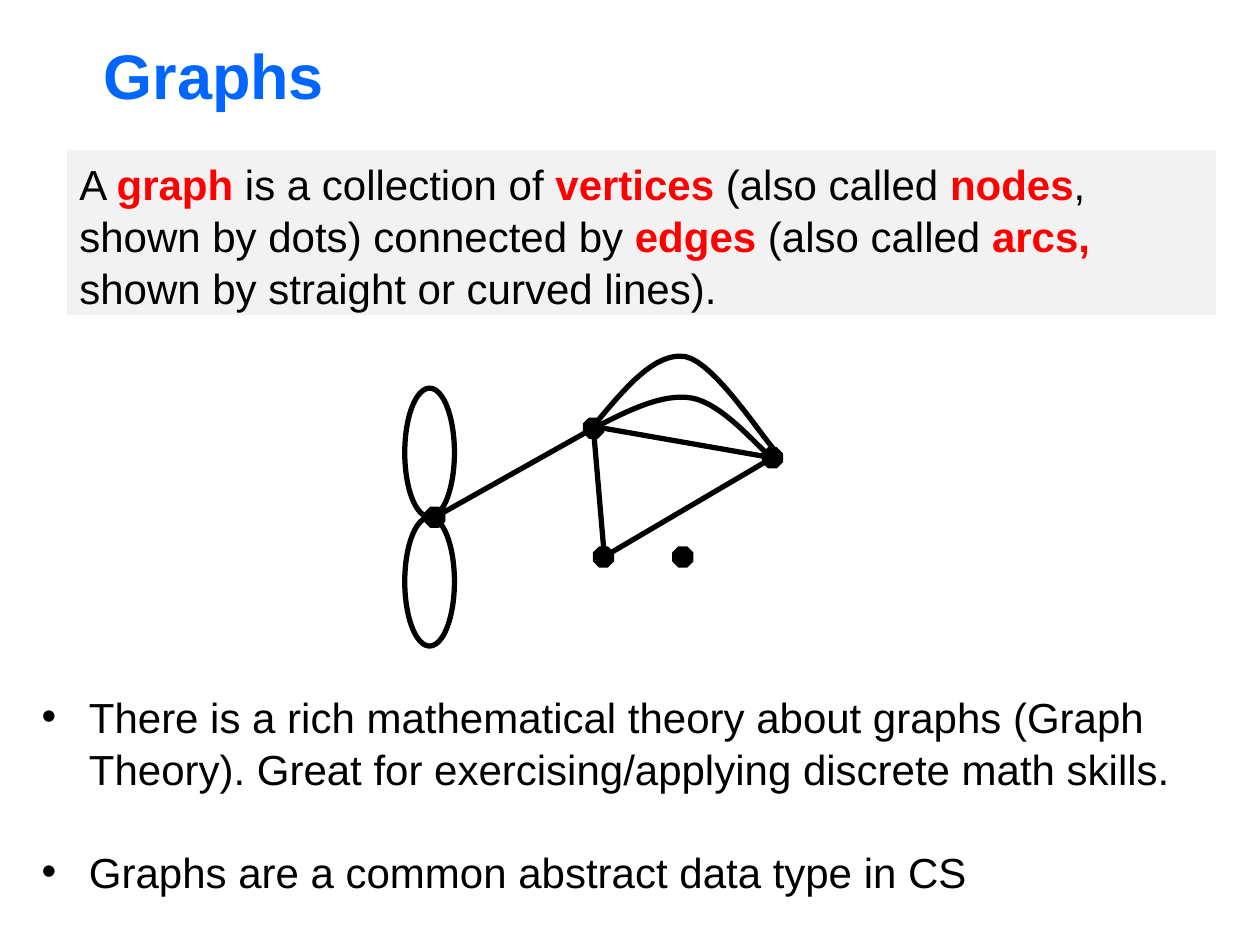
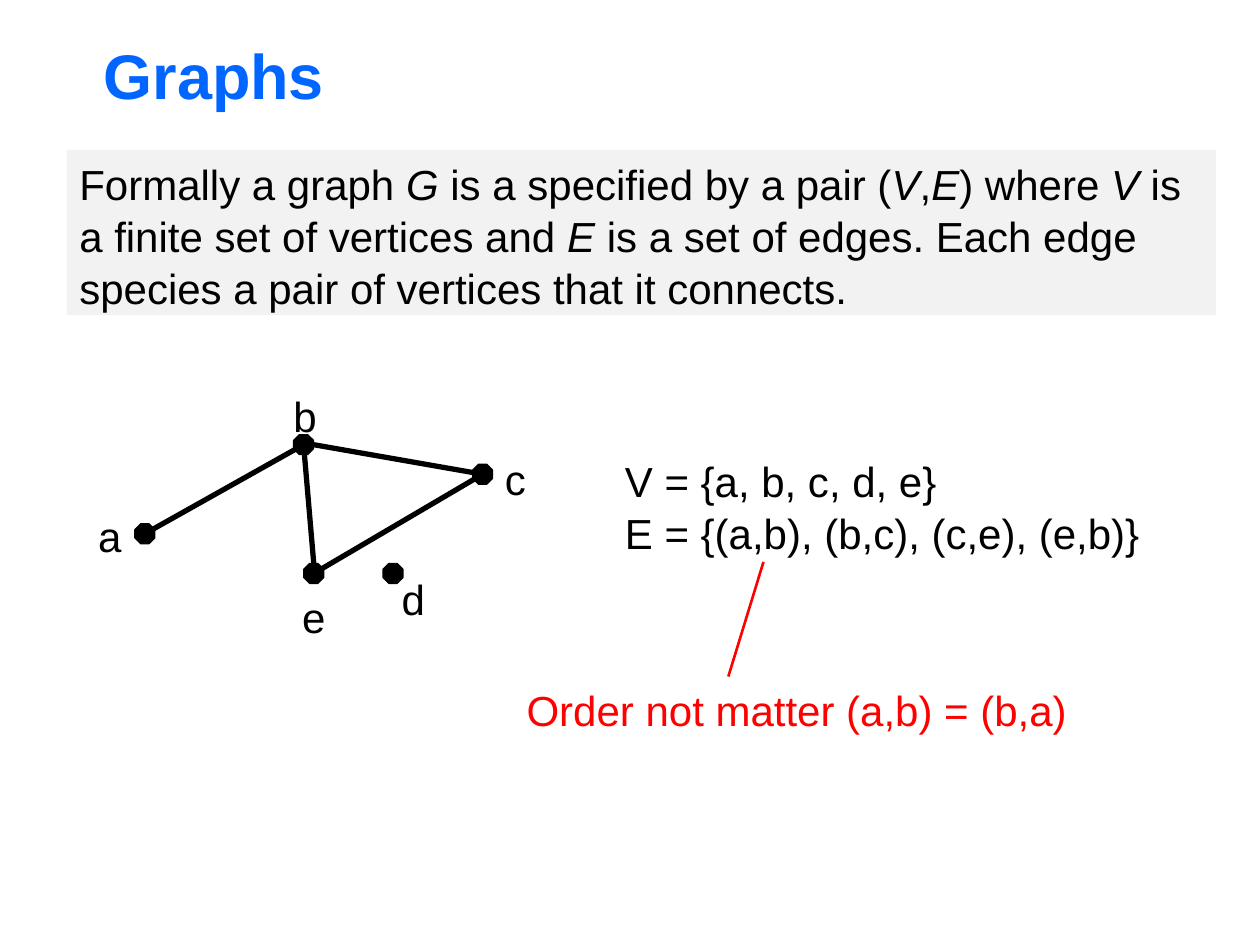
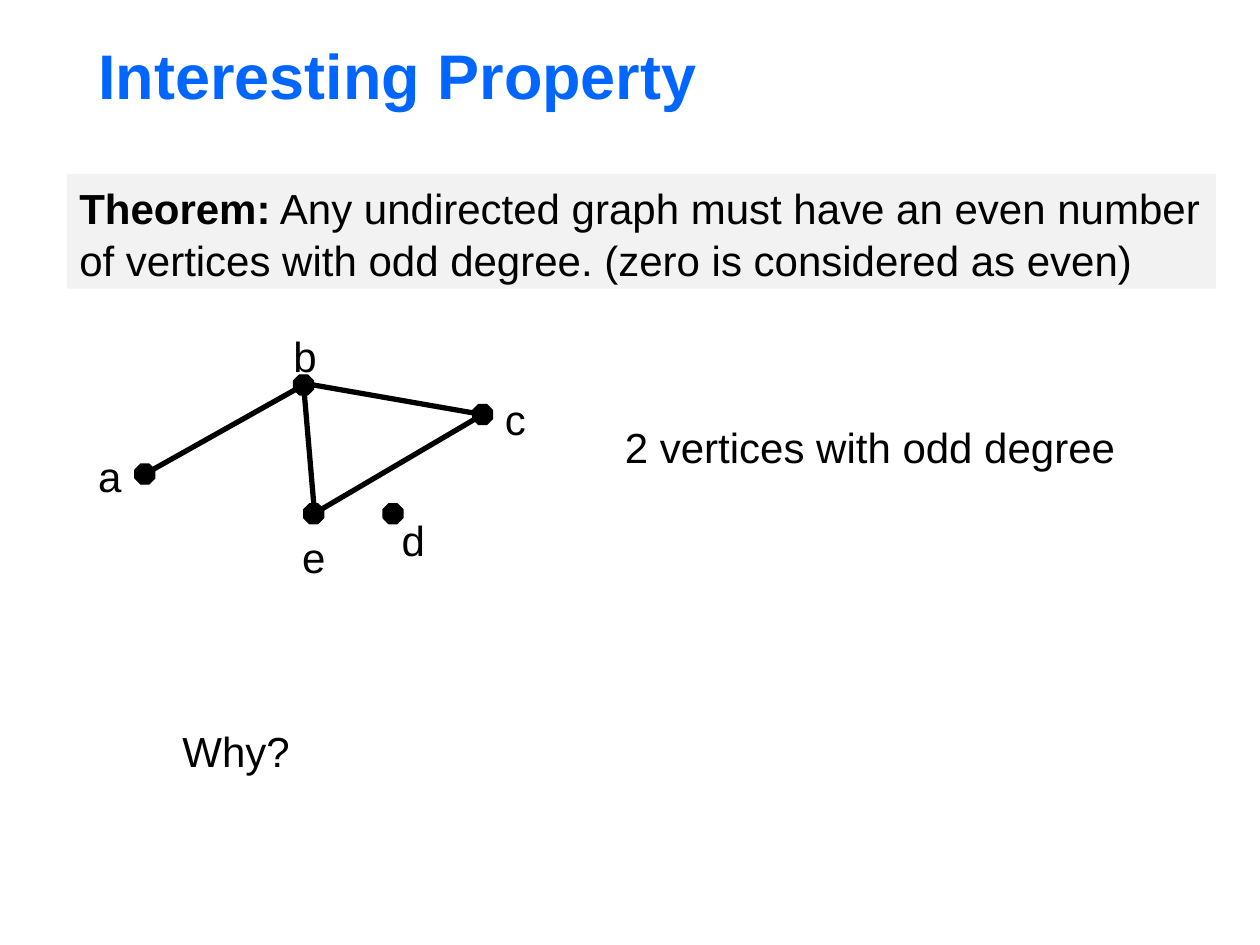
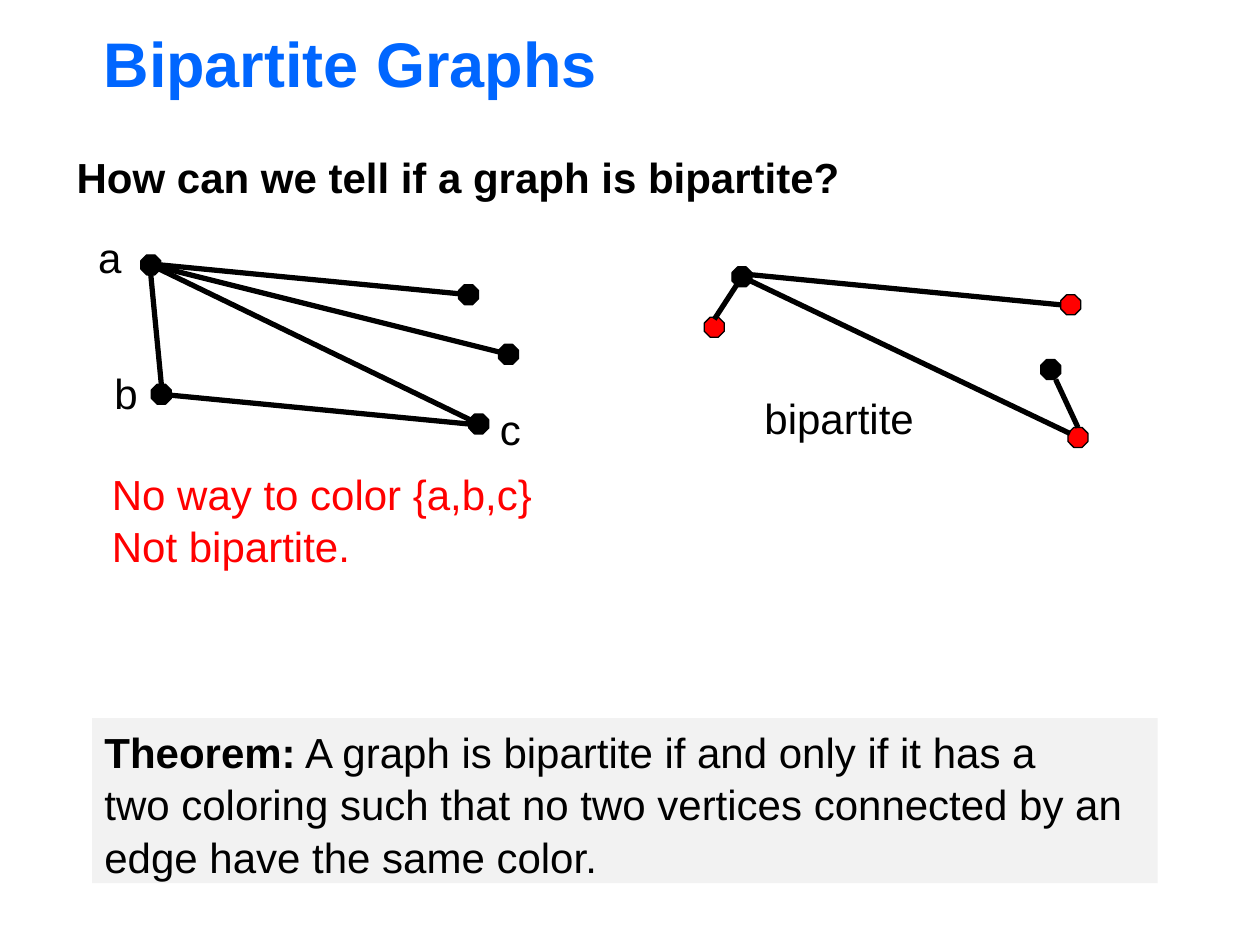
from lxml import etree
from pptx import Presentation
from pptx.dml.color import RGBColor
from pptx.enum.shapes import MSO_CONNECTOR, MSO_SHAPE
from pptx.enum.text import MSO_ANCHOR, MSO_AUTO_SIZE, PP_ALIGN
from pptx.oxml.ns import qn
from pptx.util import Pt

RECTANGLE, OCTAGON, OVAL = MSO_SHAPE.RECTANGLE, MSO_SHAPE.OCTAGON, MSO_SHAPE.OVAL
STRAIGHT = MSO_CONNECTOR.STRAIGHT
LEFT = PP_ALIGN.LEFT
TOP, MIDDLE = MSO_ANCHOR.TOP, MSO_ANCHOR.MIDDLE
NO_AUTOFIT, GROW = MSO_AUTO_SIZE.NONE, MSO_AUTO_SIZE.SHAPE_TO_FIT_TEXT

FONT, TEXT_SIZE, TITLE_SIZE = "Arial", 24, 36
BLACK, RED, BLUE, GREY = "000000", "FF0000", "0066FF", "F2F2F2"
LINE_SPACING = 1.04
RADIUS = 5.7
EDGE_WIDTH = 3
color = RGBColor.from_string


def add_text(slide, box, lines, text_color=BLACK, fill=None, wrap=False,
             bold=True, italic=False, emphasis_color=BLACK):
    """Write lines into a box; parts between asterisks are emphasised."""
    box = [Pt(value) for value in box]
    if fill:
        shape = slide.shapes.add_shape(RECTANGLE, *box)
        shape.shadow.inherit = False
        shape.fill.solid()
        shape.fill.fore_color.rgb = color(fill)
        shape.line.fill.background()
    else:
        shape = slide.shapes.add_textbox(*box)
    frame = shape.text_frame
    frame.word_wrap = wrap
    frame.auto_size = GROW
    frame.vertical_anchor = TOP
    for number, line in enumerate(lines):
        paragraph = frame.add_paragraph() if number else frame.paragraphs[0]
        paragraph.alignment = LEFT
        paragraph.line_spacing = LINE_SPACING
        for index, part in enumerate(line.split("*")):
            if not part:
                continue
            emphasised = index % 2 == 1
            run = paragraph.add_run()
            run.text = part
            run.font.name = FONT
            run.font.size = Pt(TEXT_SIZE)
            run.font.bold = emphasised and bold
            run.font.italic = emphasised and italic
            run.font.color.rgb = color(emphasis_color if emphasised else text_color)


def add_graph(slide, origin, vertices, edges, red_vertices=""):
    """Draw vertices by centre, and edges with end offsets in vertex radii."""
    origin_x, origin_y = origin
    for name, (x, y) in vertices.items():
        shape = slide.shapes.add_shape(
            OCTAGON, Pt(origin_x + x - RADIUS), Pt(origin_y + y - RADIUS),
            Pt(2 * RADIUS), Pt(2 * RADIUS))
        shape.shadow.inherit = False
        shape.fill.solid()
        shape.fill.fore_color.rgb = color(RED if name in red_vertices else BLACK)
        shape.line.color.rgb = color(BLACK)
        shape.line.width = Pt(0.75)
    for start, end, start_offset, end_offset in edges:
        ends = []
        for name, (dx, dy) in ((start, start_offset), (end, end_offset)):
            x, y = vertices[name]
            ends += [Pt(origin_x + x + dx * RADIUS), Pt(origin_y + y + dy * RADIUS)]
        connector = slide.shapes.add_connector(STRAIGHT, *ends)
        connector.line.color.rgb = color(BLACK)
        connector.line.width = Pt(EDGE_WIDTH)
        etree.SubElement(connector._element.spPr, qn("a:effectLst"))


presentation = Presentation()
presentation.slide_width, presentation.slide_height = Pt(720), Pt(540)

# Slides with their titles: text, left, top, layout number
slides = []
for text, left, top, layout in [("Graphs", 52, 18, 1), ("Graphs", 52, 18, 5),
                                ("Interesting Property", 49, 18, 5),
                                ("Bipartite Graphs", 52, 11.3, 5)]:
    slide = presentation.slides.add_slide(presentation.slide_layouts[layout])
    title = slide.shapes.title
    title.left, title.top, title.width, title.height = Pt(left), Pt(top), Pt(612), Pt(49)
    title.text_frame.text = text
    title.text_frame.auto_size = NO_AUTOFIT
    title.text_frame.vertical_anchor = MIDDLE
    paragraph = title.text_frame.paragraphs[0]
    paragraph.alignment = LEFT
    font = paragraph.runs[0].font
    font.name, font.size, font.bold = FONT, Pt(TITLE_SIZE), True
    font.color.rgb = color(BLUE)
    slides.append(slide)
intro, formal, theorem, bipartite = slides

# The five-vertex graph of the first three slides, relative to vertex a
CENTRE = (0, 0)
vertices = {"a": (0, 0), "c": (193, -34), "e": (96.5, 22.7),
            "d": (141.8, 22.7), "b": (90.7, -50.9)}
edges = [("e", "b", (0, -1), CENTRE), ("a", "b", CENTRE, CENTRE),
         ("b", "c", (1, 0), CENTRE), ("e", "c", CENTRE, CENTRE)]
label_offsets = {"a": (-33.8, -18), "b": (77.8, -86.8), "e": (82.8, 28.4),
                 "c": (198.7, -50.8), "d": (139.7, 18.3)}
origins = [(248.4, 295.6), (82.8, 305), (82.8, 270.9)]
for slide, origin in zip(slides, origins):
    add_graph(slide, origin, vertices, edges)
for slide, (x, y) in zip((formal, theorem), origins[1:]):
    for name, (dx, dy) in label_offsets.items():
        add_text(slide, (x + dx, y + dy, 28, 36), [name])

# Slide 1: definition, loops, parallel edges and remarks
add_text(intro, (38.2, 85.7, 656.6, 94.3),
         ["A *graph* is a collection of *vertices *(also called *nodes*, shown by dots) "
          "connected by *edges* (also called *arcs,* shown by straight or curved lines)."],
         fill=GREY, wrap=True, emphasis_color=RED)
for top in (221.8, 295.5):
    loop = intro.shapes.add_shape(OVAL, Pt(231.3), Pt(top), Pt(28.4), Pt(73.7))
    loop.shadow.inherit = False
    loop.fill.background()
    loop.line.color.rgb = color(BLACK)
    loop.line.width = Pt(EDGE_WIDTH)

parallel_edges = [
    [[(339.1, 244.8), (358.6, 234.7), (378.7, 224.6), (395.3, 227.5)],
     [(395.3, 227.5), (412.6, 230.4), (433.4, 255.6), (440.6, 261.4)]],
    [[(339.8, 242.6), (357.1, 221.8), (374.4, 200.9), (391.7, 203.8)],
     [(391.7, 203.8), (409, 207.4), (436.3, 251.3), (445, 259.9)]],
]
STEPS = 16
for curve in parallel_edges:
    points = []
    for controls in curve:
        for step in range(STEPS + 1):
            t = step / STEPS
            weights = ((1 - t) ** 3, 3 * t * (1 - t) ** 2, 3 * t * t * (1 - t), t ** 3)
            points.append([Pt(sum(w * v for w, v in zip(weights, values)))
                           for values in zip(*controls)])
    builder = intro.shapes.build_freeform(*points[0])
    builder.add_line_segments(points[1:], close=False)
    shape = builder.convert_to_shape()
    shape.shadow.inherit = False
    shape.fill.background()
    shape.line.color.rgb = color(BLACK)
    shape.line.width = Pt(EDGE_WIDTH)

body = intro.placeholders[1]
body.left, body.top, body.width, body.height = Pt(16.6), Pt(390.2), Pt(689), Pt(124)
body.text_frame.text = (
    "There is a rich mathematical theory about graphs (Graph Theory). "
    "Great for exercising/applying discrete math skills.\n"
    "Graphs are a common abstract data type in CS")
body.text_frame.auto_size = NO_AUTOFIT
for paragraph, gap in zip(body.text_frame.paragraphs, (0, 28.8)):
    paragraph.space_before = Pt(gap)
    paragraph.line_spacing = LINE_SPACING
    font = paragraph.runs[0].font
    font.name, font.size = FONT, Pt(TEXT_SIZE)
    font.color.rgb = color(BLACK)

# Slide 2: formal definition
add_text(formal, (38.2, 85.7, 656.6, 94.3),
         ["Formally a graph *G* is a specified by a pair (*V*,*E*) where *V* is a finite "
          "set of vertices and *E* is a set of edges. Each edge",
          "species a pair of vertices that it connects."],
         fill=GREY, wrap=True, bold=False, italic=True)
add_text(formal, (350, 255.6, 311, 65.5),
         ["V = {a, b, c, d, e}", "E = {(a,b), (b,c), (c,e), (e,b)}"])
add_text(formal, (293.8, 386.6, 332.6, 36), ["Order not matter (a,b) = (b,a)"], RED)
pointer = formal.shapes.add_connector(STRAIGHT, Pt(436.3), Pt(321.1), Pt(416.2), Pt(386.6))
pointer.line.color.rgb = color(RED)
pointer.line.width = Pt(1.5)
etree.SubElement(pointer._element.spPr, qn("a:effectLst"))

# Slide 3: theorem on odd degrees
add_text(theorem, (38.2, 99.4, 656.6, 65.5),
         ["*Theorem:* Any undirected graph must have an even number of vertices with odd "
          "degree. (zero is considered as even)"], fill=GREY, wrap=True)
add_text(theorem, (350, 236.2, 297.4, 36), ["2 vertices with odd degree"])
add_text(theorem, (97.2, 409.7, 83.5, 36), ["Why?"])

# Slide 4: a graph that cannot be two-coloured beside one that can
add_text(bipartite, (36.7, 82.1, 646.6, 36),
         ["*How can we tell if a graph is bipartite?*"], wrap=True)
add_graph(bipartite, (86.2, 151.4),
          {"b": (6, 73.9), "a": (0, 0), "middle": (204.4, 51.1),
           "c": (187.4, 90.9), "top": (181.6, 17)},
          [("b", "c", CENTRE, (-1, 0)), ("a", "top", (1, 0), CENTRE),
           ("a", "middle", CENTRE, CENTRE), ("a", "c", CENTRE, CENTRE),
           ("a", "b", (0, 1), (0, -1))])
add_graph(bipartite, (424, 158.2),
          {"inner": (176.4, 53), "hub": (0, 0), "left": (-15.8, 28.8),
           "low": (192, 91.8), "high": (187.9, 16)},
          [("inner", "low", (0.5, 1), (0, -1)), ("hub", "high", (1, -0.2), (-1, 0)),
           ("hub", "left", CENTRE, (0, -0.8)), ("hub", "low", CENTRE, (-0.8, -0.4))],
          red_vertices=("left", "low", "high"))
add_text(bipartite, (52.6, 410.4, 609, 94.3),
         ["*Theorem:* A graph is bipartite if and only if it has a",
          "two coloring such that no two vertices connected by an",
          "edge have the same color."], fill=GREY)
add_text(bipartite, (429.8, 219.6, 100.8, 36), ["bipartite"])
for name, left, top in [("a", 49, 127.4), ("b", 58.3, 205.2), ("c", 278.6, 226.1)]:
    add_text(bipartite, (left, top, 28, 36), [name])
add_text(bipartite, (56.9, 262.8, 257, 65.5),
         ["No way to color {a,b,c}", "Not bipartite."], RED)

presentation.save("out.pptx")
